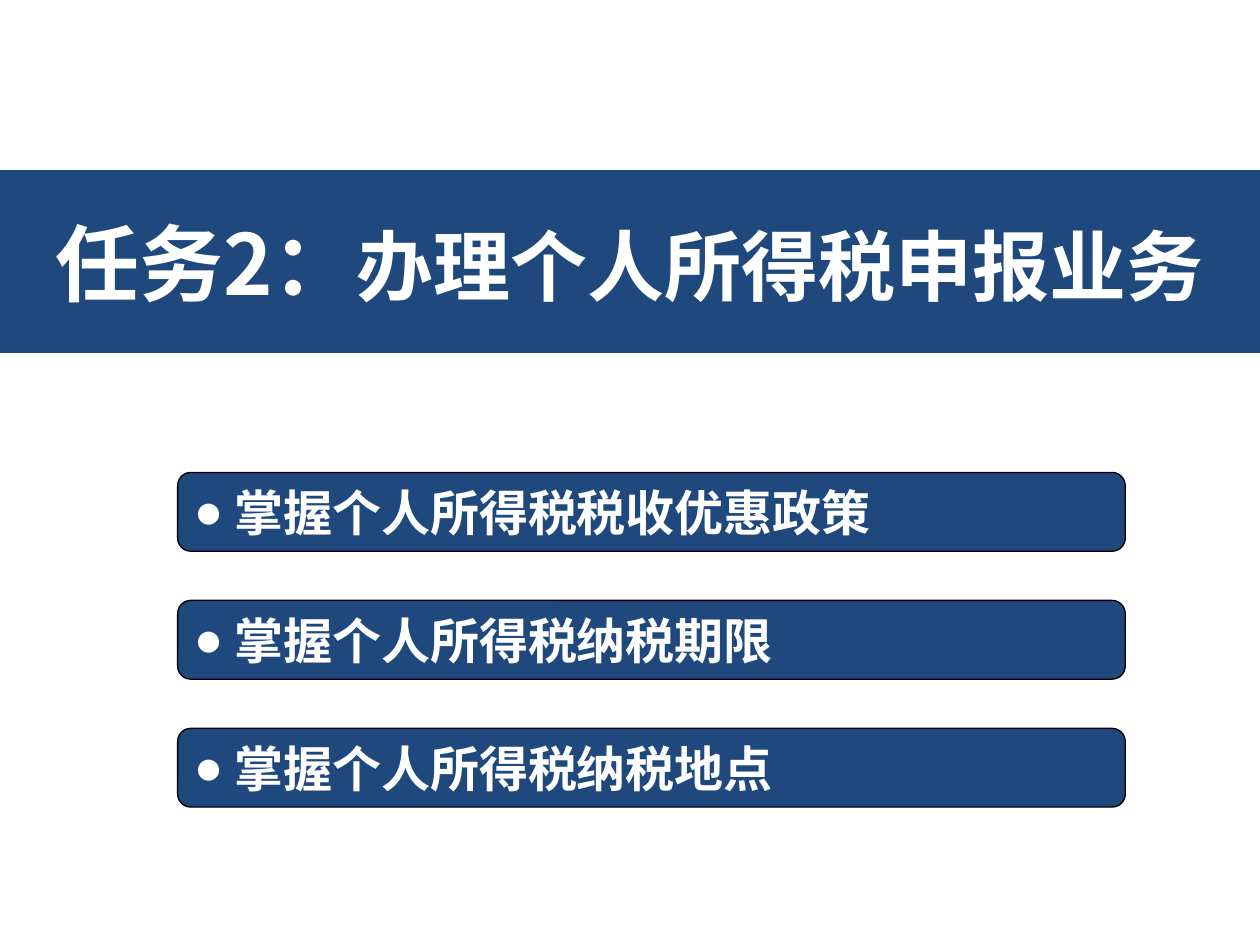
from lxml.etree import SubElement
from pptx import Presentation
from pptx.dml.color import RGBColor
from pptx.enum.shapes import MSO_SHAPE as Shape
from pptx.enum.text import MSO_ANCHOR as Anchor, PP_ALIGN as Align
from pptx.oxml.ns import qn
from pptx.util import Pt

NAVY, WHITE, BLACK = "1F497D", "FFFFFF", "000000"
CJK_FONT, LATIN_FONT = "Noto Sans CJK SC", "Calibri"
GOALS = ["掌握个人所得税税收优惠政策", "掌握个人所得税纳税期限", "掌握个人所得税纳税地点"]
GOAL_TOP, GOAL_PITCH = 270, 73.1


def color(value):
    return RGBColor.from_string(value)


def add_bar(slide, preset, left, top, width, height):
    shape = slide.shapes.add_shape(preset, Pt(left), Pt(top), Pt(width), Pt(height))
    shape.shadow.inherit = False
    shape.fill.solid()
    shape.fill.fore_color.rgb = color(NAVY)
    shape.line.fill.background()
    shape.text_frame.word_wrap = True
    shape.text_frame.vertical_anchor = Anchor.MIDDLE
    return shape


def set_font(font, properties, size, name):
    font.size, font.name = Pt(size), name
    SubElement(properties, qn("a:ea"), typeface=CJK_FONT)


def set_bold_white(font):
    font.bold = True
    font.color.rgb = color(WHITE)


def add_bullet(paragraph):
    properties = paragraph._p.get_or_add_pPr()
    bullet_color = SubElement(properties, qn("a:buClr"))
    SubElement(bullet_color, qn("a:srgbClr"), val=WHITE)
    SubElement(properties, qn("a:buFont"), typeface="Arial")
    SubElement(properties, qn("a:buChar"), char="●")


def add_title(slide):
    shape = add_bar(slide, Shape.RECTANGLE, 0, 97.2, 720, 104.4)
    paragraph = shape.text_frame.paragraphs[0]
    paragraph.alignment = Align.CENTER
    for text, size, name in [("任务2：", 48, CJK_FONT), ("办理个人所得税申报业务", 44, LATIN_FONT)]:
        run = paragraph.add_run()
        run.text = text
        set_bold_white(run.font)
        set_font(run.font, run._r.get_or_add_rPr(), size, name)


def add_goal(slide, text, top):
    shape = add_bar(slide, Shape.ROUNDED_RECTANGLE, 101.5, top, 541.5, 45)
    shape.line.color.rgb = color(BLACK)
    shape.line.width = Pt(0.75)
    paragraph = shape.text_frame.paragraphs[0]
    paragraph.text = " " + text
    paragraph.alignment = Align.LEFT
    add_bullet(paragraph)
    set_bold_white(paragraph.font)
    set_font(paragraph.font, paragraph._p.pPr.find(qn("a:defRPr")), 28, CJK_FONT)


def main():
    presentation = Presentation()
    presentation.slide_width, presentation.slide_height = Pt(720), Pt(540)
    slide = presentation.slides.add_slide(presentation.slide_layouts[6])
    add_title(slide)
    for index, text in enumerate(GOALS):
        add_goal(slide, text, GOAL_TOP + index * GOAL_PITCH)
    presentation.save("out.pptx")


if __name__ == "__main__":
    main()
